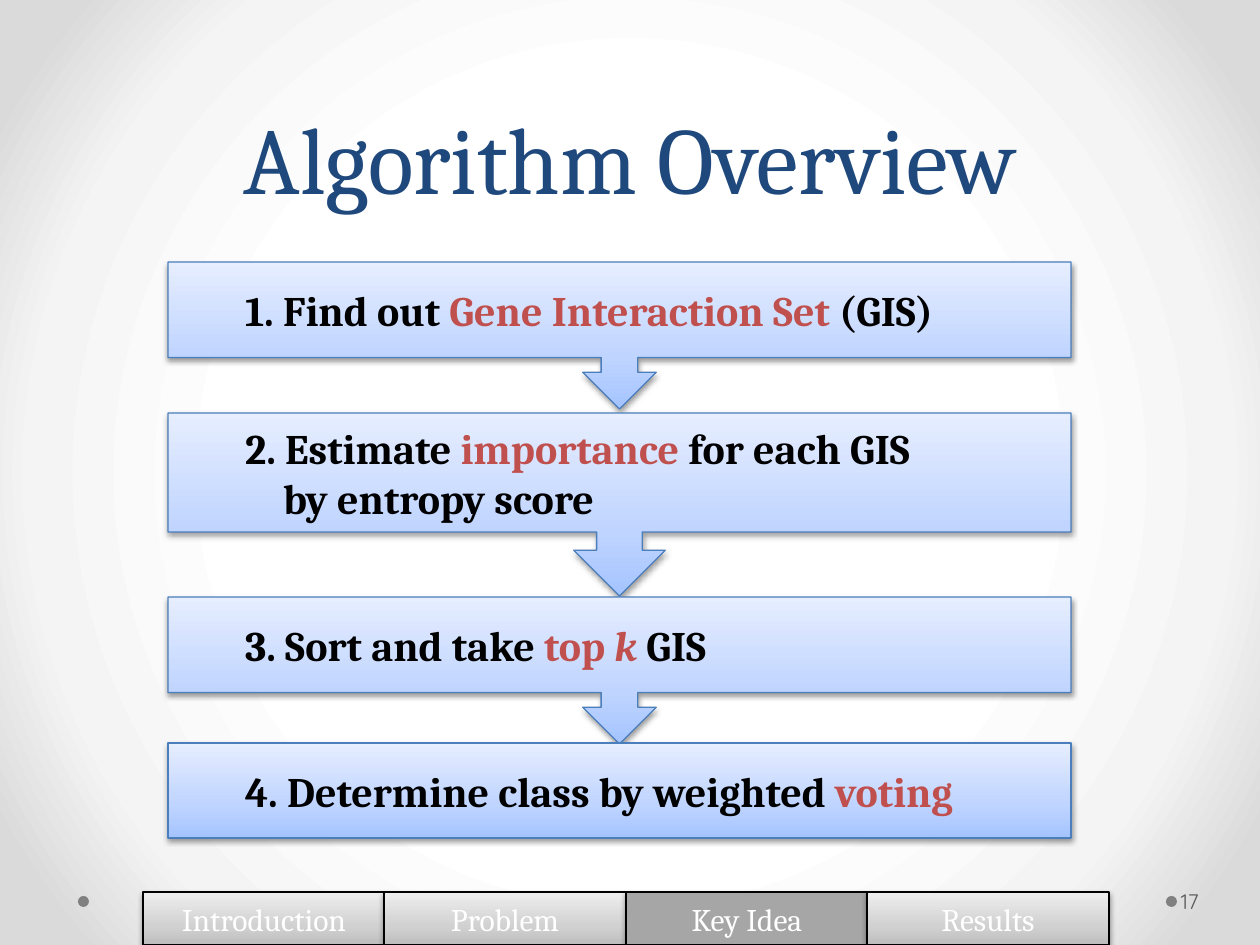
from lxml import etree
from pptx import Presentation
from pptx.dml.color import RGBColor
from pptx.enum.shapes import MSO_SHAPE as SHAPE
from pptx.enum.text import MSO_ANCHOR as ANCHOR, PP_ALIGN as ALIGN
from pptx.oxml import parse_xml
from pptx.oxml.ns import nsdecls, qn
from pptx.util import Emu, Pt

EMU_PER_PX = 914400 / 126

COLORS = {
    "title": "1F497D",
    "text": "000000",
    "accent": "C0504D",
    "step_line": "4B7EBC",
    "tab_line": "000000",
    "tab_text": "FFFFFF",
    "tab_active": "A6A6A6",
    "dot": "808080",
    "number": "595959",
}
STEP_STOPS = [(0, "A4C4FF"), (35, "BFD4FF"), (100, "E6EEFF")]
TAB_STOPS = [(0, "BDBDBD"), (35, "D1D1D1"), (100, "EEEEEE")]
PAGE_STOPS = [(50, "FFFFFF"), (76, "F4F4F4"), (92, "DADADA")]
UPWARD = '<a:lin ang="16200000" scaled="0"/>'
RADIAL = ('<a:path path="circle"><a:fillToRect l="50000" t="50000" '
          'r="50000" b="50000"/></a:path>')

STEPS = [
    (262, 147, [("1. Find out ", "text"), ("Gene Interaction Set", "accent"),
                (" (GIS)", "text")]),
    (413, 183, [("2. Estimate ", "text"), ("importance", "accent"),
                (" for each GIS\vby entropy score", "text")]),
    (597, 147, [("3. Sort and take ", "text"), ("top ", "accent"),
                ("k", "accent", True), (" GIS", "text")]),
    (743, 95, [("4. Determine class by weighted ", "text"),
               ("voting", "accent")]),
]
TABS = ["Introduction", "Problem", "Key Idea", "Results"]


def px(n):
    return Emu(round(n * EMU_PER_PX))


def rgb(name):
    return RGBColor.from_string(COLORS[name])


def use_gradient(parent, stops, direction):
    gs = "".join(f'<a:gs pos="{pos * 1000}"><a:srgbClr val="{color}"/></a:gs>'
                 for pos, color in stops)
    grad = parse_xml(f'<a:gradFill {nsdecls("a")} rotWithShape="1">'
                     f'<a:gsLst>{gs}</a:gsLst>{direction}</a:gradFill>')
    parent.replace(parent.find(qn("a:solidFill")), grad)


def add_shadow(sp):
    effects = sp._element.spPr.find(qn("a:effectLst"))
    shadow = etree.SubElement(effects, qn("a:outerShdw"), blurRad="40000",
                              dist="20000", dir="5400000", rotWithShape="0")
    color = etree.SubElement(shadow, qn("a:srgbClr"), val="000000")
    etree.SubElement(color, qn("a:alpha"), val="38000")


def write(sp, runs, size, font="Cambria", bold=False, align=ALIGN.LEFT,
          anchor=ANCHOR.MIDDLE, left=None, hanging=0, spacing=None):
    tf = sp.text_frame
    tf.word_wrap = True
    tf.vertical_anchor = anchor
    if left is not None:
        tf.margin_left = px(left)
    p = tf.paragraphs[0]
    p.alignment = align
    if spacing:
        p.line_spacing = Pt(spacing)
    if hanging:
        pPr = p._p.get_or_add_pPr()
        pPr.set("marL", str(px(hanging)))
        pPr.set("indent", str(-px(hanging)))
    for text, color, *italic in runs:
        for i, line in enumerate(text.split("\v")):
            if i:
                p.add_line_break()
            r = p.add_run()
            r.text = line
            r.font.name = font
            r.font.size = Pt(size)
            r.font.bold = bold
            r.font.italic = bool(italic)
            r.font.color.rgb = rgb(color)


def add_box(s, kind, x, y, w, h, fill, line=None, stops=None):
    sp = s.shapes.add_shape(kind, px(x), px(y), px(w), px(h))
    sp.shadow.inherit = False
    sp.fill.solid()
    sp.fill.fore_color.rgb = rgb(fill)
    if stops:
        use_gradient(sp._element.spPr, stops, UPWARD)
    if line:
        sp.line.color.rgb = rgb(line)
        sp.line.width = Pt(0.75)
        add_shadow(sp)
    else:
        sp.line.fill.background()
    return sp


def add_label(s, x, y, w, h, runs, **fmt):
    write(s.shapes.add_textbox(px(x), px(y), px(w), px(h)), runs, **fmt)


def add_background(s):
    s.background.fill.solid()
    s.background.fill.fore_color.rgb = RGBColor(255, 255, 255)
    use_gradient(s.element.find(".//" + qn("p:bgPr")), PAGE_STOPS, RADIAL)


def add_steps(s):
    for i, (y, h, runs) in enumerate(STEPS):
        last = i == len(STEPS) - 1
        kind = SHAPE.FLOWCHART_PROCESS if last else SHAPE.DOWN_ARROW_CALLOUT
        sp = add_box(s, kind, 168, y, 903, h, "step_line", "step_line", STEP_STOPS)
        write(sp, runs, size=24, bold=True, left=77, hanging=38)


def add_tabs(s, active):
    for i, name in enumerate(TABS):
        stops = None if name == active else TAB_STOPS
        sp = add_box(s, SHAPE.CHEVRON, 143 + i * 483 // 2, 892, 242, 53,
                     "tab_active", "tab_line", stops)
        sp.adjustments[0] = 0
        write(sp, [(name, "tab_text")], size=18, align=ALIGN.CENTER)


def main():
    prs = Presentation()
    prs.slide_width, prs.slide_height = px(1260), px(945)
    s = prs.slides.add_slide(prs.slide_layouts[6])
    add_background(s)
    for x in (1166, 78):
        add_box(s, SHAPE.OVAL, x, 896, 11, 11, "dot")
    add_label(s, 63, 0, 1134, 220, [("Algorithm Overview", "title")], size=54,
              align=ALIGN.CENTER, anchor=ANCHOR.BOTTOM, spacing=58)
    add_steps(s)
    add_tabs(s, "Key Idea")
    add_label(s, 1177, 876, 77, 50, [("17", "number")], size=12,
              font="Quicksand", left=4)
    prs.save("out.pptx")


if __name__ == "__main__":
    main()
